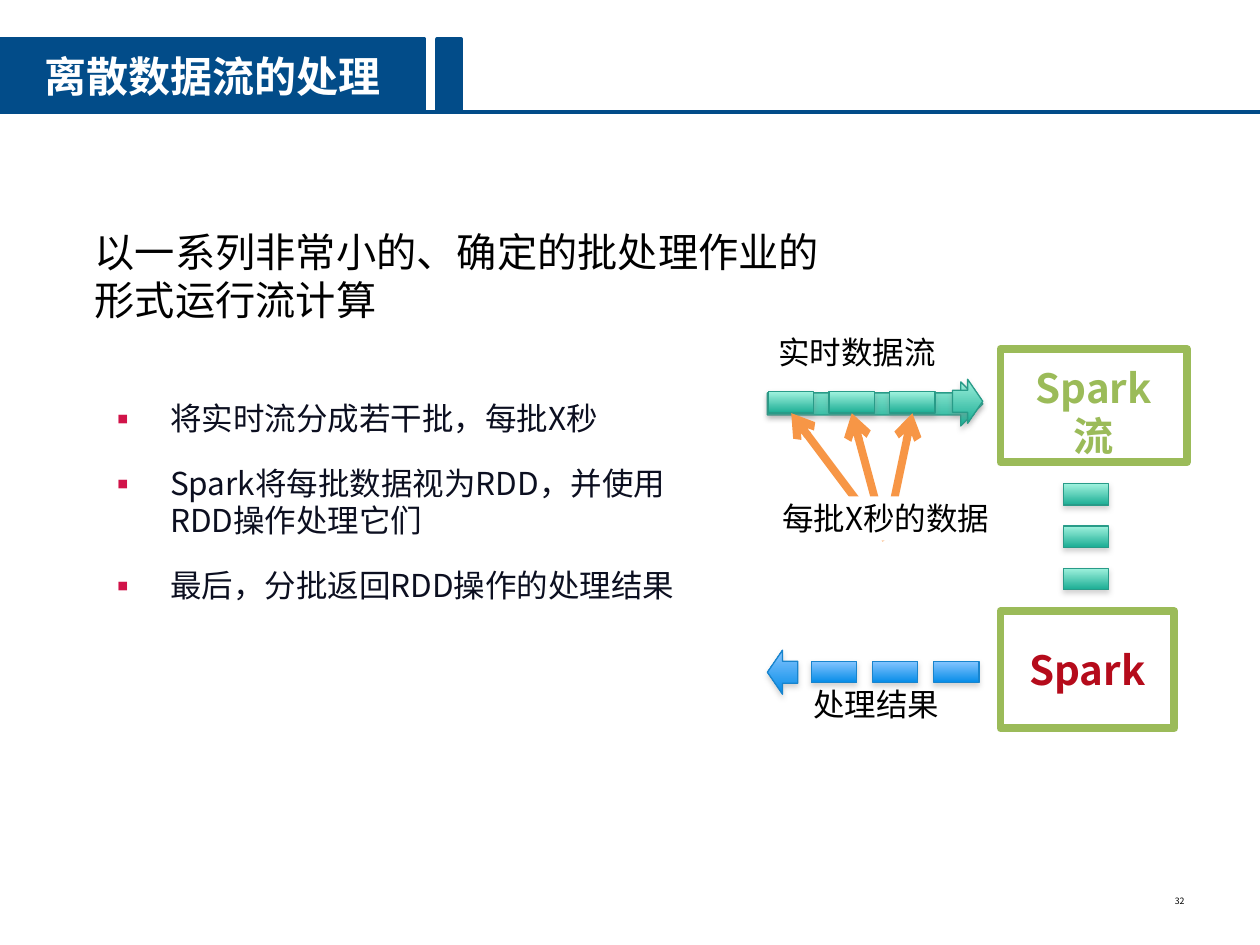
from dataclasses import dataclass

from lxml import etree
from pptx import Presentation
from pptx.dml.color import RGBColor
from pptx.enum import shapes, text
from pptx.oxml.ns import qn
from pptx.util import Pt


@dataclass(frozen=True)
class Theme:
    font: str = "Noto Sans CJK SC"
    navy: str = "024C89"
    white: str = "FFFFFF"
    black: str = "000000"
    ink: str = "0C0F20"
    bullet: str = "D11349"
    green: str = "9BBB59"
    red: str = "B50B1B"
    orange: str = "F79646"
    shadow: str = "808080"
    teal: tuple = ("A0F2DE", "1BAD94", "289B88")  # top, bottom, outline
    blue: tuple = ("86C5FF", "038BE7", "1884CD")
    title_size: float = 24
    large_size: float = 23
    text_size: float = 18
    number_size: float = 5


THEME = Theme()
SHAPE = shapes.MSO_SHAPE
ALIGN = text.PP_ALIGN
ANCHOR = text.MSO_ANCHOR
BATCH_W, BATCH_H, BATCH_STEP = 25.9, 12.2, 34.6
HEAD_W, HEAD_H = 17.3, 25.2


def rgb(color):
    return RGBColor.from_string(color)


def points(*lengths):
    return [Pt(length) for length in lengths]


def add_xml(parent, tag, **attributes):
    return etree.SubElement(parent, qn(tag), attributes)


def write(shape, words, size, color, bold=False, align=ALIGN.CENTER,
          anchor=ANCHOR.TOP, insets=(2.9, 1.45)):
    frame = shape.text_frame
    frame.text = words
    frame.word_wrap = True
    frame.auto_size = text.MSO_AUTO_SIZE.NONE
    frame.vertical_anchor = anchor
    frame.margin_left = frame.margin_right = Pt(insets[0])
    frame.margin_top = frame.margin_bottom = Pt(insets[1])
    for paragraph in frame.paragraphs:
        paragraph.alignment = align
        for run in paragraph.runs:
            run.font.size, run.font.bold = Pt(size), bold
            run.font.name = THEME.font
            run.font.color.rgb = rgb(color)
            add_xml(run.font._element, "a:ea", typeface=THEME.font)


def place(shape, box):
    shape.left, shape.top, shape.width, shape.height = points(*box)


def paint(shape, fill, line=None, width=0):
    shape.fill.solid()
    shape.fill.fore_color.rgb = rgb(fill)
    if line:
        shape.line.color.rgb = rgb(line)
        shape.line.width = Pt(width)
    else:
        shape.line.fill.background()


def add_plain(slide, box, fill, line=None, width=0):
    shape = slide.shapes.add_shape(SHAPE.RECTANGLE, *points(*box))
    shape.shadow.inherit = False
    paint(shape, fill, line, width)
    return shape


def add_glossy(slide, kind, box, palette, flipped=False):
    """Add a shape shaded from light at the top to dark at the bottom."""
    shape = slide.shapes.add_shape(kind, *points(*box))
    top, bottom, outline = palette
    shape.fill.gradient()
    shape.fill.gradient_angle = 270
    stops = (bottom, top) if flipped else (top, bottom)
    for stop, color in zip(shape.fill.gradient_stops, stops):
        stop.color.rgb = rgb(color)
    shape.rotation = 180 if flipped else 0
    shape.line.color.rgb = rgb(outline)
    shape.line.width = Pt(0.75)
    effects = add_xml(shape._element.spPr, "a:effectLst")
    shadow = add_xml(effects, "a:outerShdw", blurRad=str(Pt(3.1)),
                     dist=str(Pt(1.8)), dir="5400000", rotWithShape="0")
    tint = add_xml(shadow, "a:srgbClr", val=THEME.shadow)
    add_xml(tint, "a:alpha", val="35000")


def add_batches(slide, x, y, dx, dy, palette):
    for i in range(3):
        add_glossy(slide, SHAPE.RECTANGLE,
                   (x + i * dx, y + i * dy, BATCH_W, BATCH_H), palette)


def add_line(slide, start, end, color, width, arrow=False):
    line = slide.shapes.add_connector(shapes.MSO_CONNECTOR.STRAIGHT,
                                      *points(*start, *end))
    line.line.color.rgb = rgb(color)
    line.line.width = Pt(width)
    if arrow:
        add_xml(line.line._get_or_add_ln(), "a:tailEnd", type="arrow")
    add_xml(line._element.spPr, "a:effectLst")


def add_label(slide, words, box):
    write(add_plain(slide, box, THEME.white), words, THEME.text_size, THEME.black)


def add_header(slide, title, box):
    x, y, width, height = box
    base, banner_w = y + height, 242.6
    add_line(slide, (x, base), (x + width, base), THEME.navy, 2)
    banner = slide.shapes.title
    place(banner, (x, y, banner_w, height))
    paint(banner, THEME.navy, THEME.navy, 2)
    write(banner, title, THEME.title_size, THEME.white, True,
          anchor=ANCHOR.MIDDLE, insets=(7.2, 3.6))
    add_plain(slide, (x + banner_w + 7.2, y, 13.7, height), THEME.navy, THEME.navy, 2)


def add_summary(body, words, box):
    place(body, box)
    write(body, words, THEME.large_size, THEME.black, align=ALIGN.LEFT,
          insets=(7.2, 3.6))
    paragraph = body.text_frame.paragraphs[0]
    paragraph.space_before = Pt(0)
    properties = paragraph._p.get_or_add_pPr()
    properties.set("marL", str(Pt(10.8)))
    properties.set("indent", "0")
    add_xml(properties, "a:buNone")


def add_steps(body, steps, box):
    place(body, box)
    write(body, "\n".join(steps), THEME.text_size, THEME.ink,
          align=ALIGN.LEFT, insets=(0, 0))
    for i, paragraph in enumerate(body.text_frame.paragraphs):
        properties = paragraph._p.get_or_add_pPr()
        properties.set("marL", str(Pt(61.2)))
        properties.set("indent", str(-Pt(36)))
        add_xml(add_xml(properties, "a:buClr"), "a:srgbClr", val=THEME.bullet)
        add_xml(properties, "a:buFont", typeface=THEME.font)
        add_xml(properties, "a:buChar", char="▪")
        paragraph.space_before = Pt(15.1 if i else 0)


def add_input_stream(slide, box):
    x, y, width, height = box
    batch_x, batch_y = x + 0.7, y + 35.3
    add_glossy(slide, SHAPE.RIGHT_ARROW, (x, y + 29.6, width, HEAD_H), THEME.teal)
    add_glossy(slide, SHAPE.RIGHT_ARROW,
               (x + width - HEAD_W, y + 28.1, HEAD_W, HEAD_H), THEME.teal)
    add_batches(slide, batch_x, batch_y, BATCH_STEP, 0, THEME.teal)
    for i in range(3):
        tip = batch_x + BATCH_W / 2 + i * BATCH_STEP
        add_line(slide, (x + 67.7, y + height - 0.7), (tip, batch_y + BATCH_H),
                 THEME.orange, 4.5, arrow=True)
    add_label(slide, "每批X秒的数据", (x - 8.7, y + 95.1, 152.6, 25.2))
    add_label(slide, "实时数据流", (x - 18, y, 138.2, 25.2))


def add_engine(slide, words, color, anchor, box):
    engine = add_plain(slide, box, THEME.white, THEME.green, 4.5)
    write(engine, words, THEME.large_size, color, True, anchor=anchor)


def add_results(slide, box):
    x, y, width, height = box
    add_glossy(slide, SHAPE.RIGHT_ARROW, (x, y, HEAD_W, HEAD_H), THEME.blue, flipped=True)
    add_batches(slide, x + 25.2, y + 6.5, 34.9, 0, THEME.blue)
    label = slide.shapes.add_textbox(*points(x + 0.7, y + height - 28.8, width, 28.8))
    write(label, "处理结果", THEME.text_size, THEME.black, insets=(7.2, 3.6))


def add_page_number(slide, number, box):
    write(slide.shapes.add_textbox(*points(*box)), number, THEME.number_size,
          THEME.black, align=ALIGN.RIGHT, anchor=ANCHOR.MIDDLE, insets=(7.2, 3.6))


def main():
    deck = Presentation()
    deck.slide_width, deck.slide_height = points(720, 540)
    slide = deck.slides.add_slide(deck.slide_layouts.get_by_name("Two Content"))
    summary, steps = list(slide.placeholders)[1:]
    add_header(slide, "离散数据流的处理", (0, 22.3, 720, 41.8))
    add_summary(summary, "以一系列非常小的、确定的批处理作业的形式运行流计算", (36, 126, 450, 99.4))
    add_steps(steps, ["将实时流分成若干批，每批X秒",
                      "Spark将每批数据视为RDD，并使用RDD操作处理它们",
                      "最后，分批返回RDD操作的处理结果"], (36, 228.2, 380.2, 216))
    add_engine(slide, "Spark\n流", THEME.green, ANCHOR.BOTTOM, (571.7, 199.4, 106.6, 64.8))
    add_batches(slide, 607.7, 276.5, 0, 24.1, THEME.teal)
    add_engine(slide, "Spark", THEME.red, ANCHOR.MIDDLE, (571.7, 349.2, 99.4, 67))
    add_input_stream(slide, (438.5, 188.6, 123.1, 120.3))
    add_results(slide, (438.5, 371.5, 123.1, 45.4))
    add_page_number(slide, "32", (516.2, 500.4, 167.8, 28.8))
    deck.save("out.pptx")


if __name__ == "__main__":
    main()
